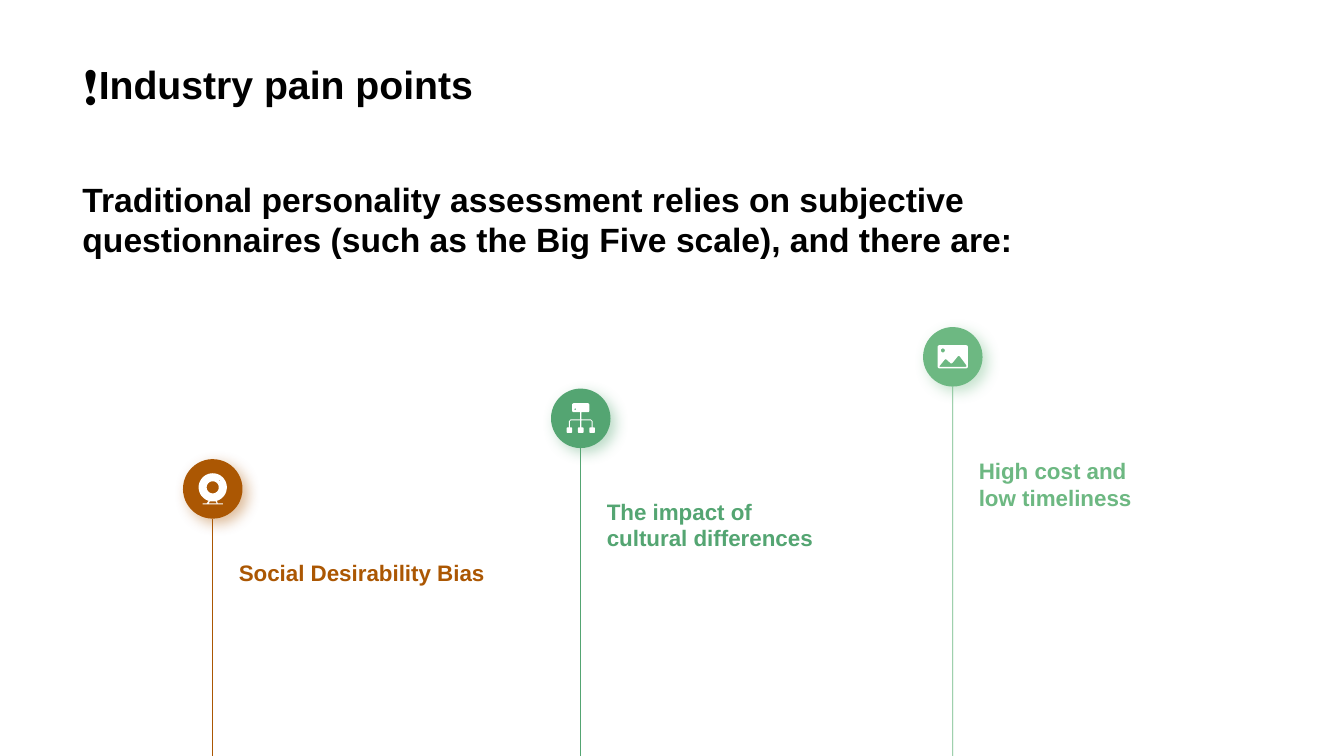
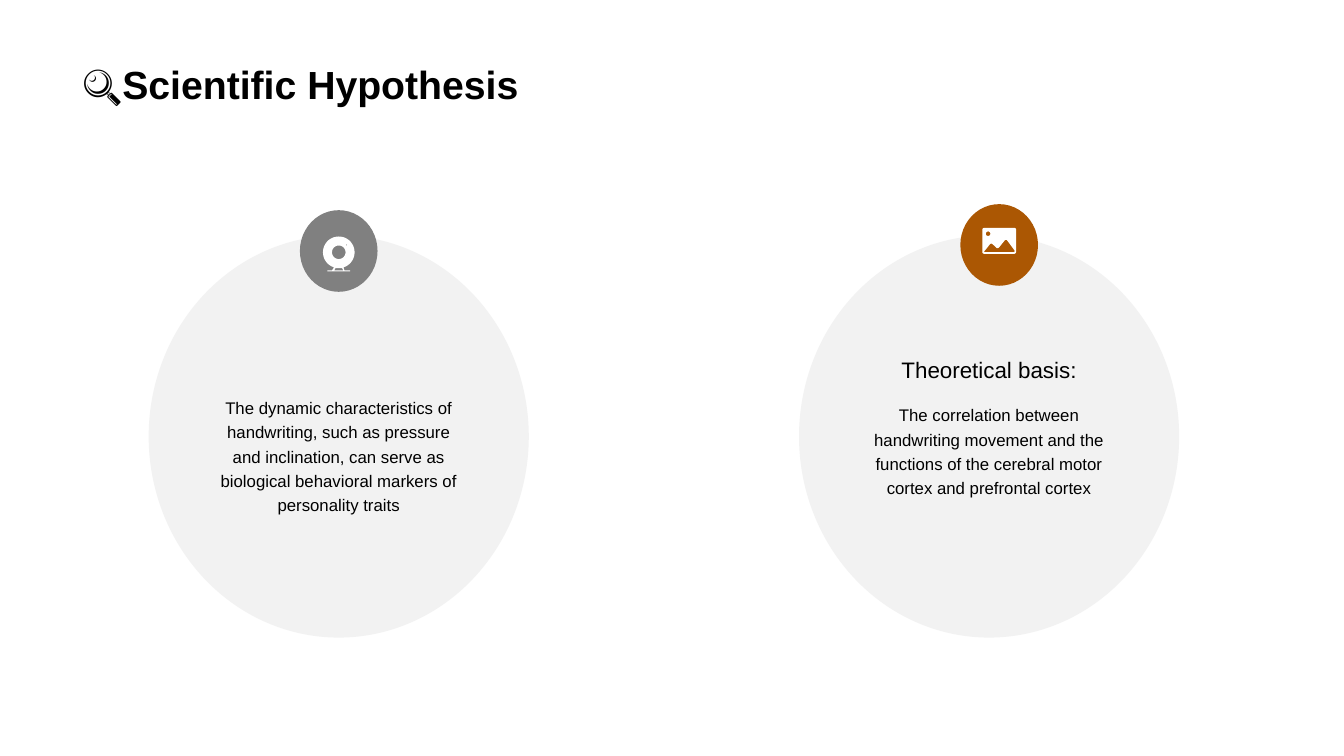
from dataclasses import dataclass
from math import cos, radians, sin

from lxml import etree
from pptx import Presentation
from pptx.dml.color import RGBColor
from pptx.enum.shapes import MSO_CONNECTOR, MSO_SHAPE
from pptx.enum.text import MSO_ANCHOR, MSO_AUTO_SIZE, PP_ALIGN
from pptx.oxml.ns import qn
from pptx.util import Inches, Pt

OVAL, ROUNDED = MSO_SHAPE.OVAL, MSO_SHAPE.ROUNDED_RECTANGLE
STRAIGHT = MSO_CONNECTOR.STRAIGHT
TOP, BOTTOM = MSO_ANCHOR.TOP, MSO_ANCHOR.BOTTOM
LEFT, CENTER = PP_ALIGN.LEFT, PP_ALIGN.CENTER
NO_FIT = MSO_AUTO_SIZE.NONE
SITE_BOTTOM = 2
TITLE_ONLY = 5


@dataclass(frozen=True)
class Theme:
    font: str = "Arial"
    text: str = "000000"
    icon: str = "FFFFFF"
    orange: str = "AB5703"
    green: str = "54A572"
    light_green: str = "6DB882"
    gray: str = "808080"
    disc: str = "BFBFBF"
    title_size: int = 28
    lead_size: int = 24
    label_size: int = 16
    body_size: int = 12
    line_width: float = 0.5


THEME = Theme()
SLIDE_W, SLIDE_H = 13.33, 7.5


def arc(cx, cy, r, start=0, end=360, steps=40):
    """Points on an arc; angles run clockwise from the right, in degrees."""
    angles = [radians(start + (end - start) * i / steps) for i in range(steps + 1)]
    return [(cx + r * cos(a), cy + r * sin(a)) for a in angles]


def rounded_box(x, y, w, h, r):
    corners = [(x + w - r, y + h - r), (x + r, y + h - r),
               (x + r, y + r), (x + w - r, y + r)]
    return [pt for i, (cx, cy) in enumerate(corners)
            for pt in arc(cx, cy, r, 90 * i, 90 * i + 90, 6)]


# Each icon: width, height and contours in hundredths of an inch;
# a contour inside another one is a hole.
CAMERA = (28, 31, [
    arc(14, 14, 14, 107, 433) + [(19, 30), (24, 30), (24, 31), (4, 31), (4, 30), (8, 30)],
    [(11, 28), (10, 30), (18, 30), (17, 28)],
    arc(14, 14, 6),
    arc(21, 7.5, 0.5),
])
ORG_CHART = (28, 30, [
    rounded_box(5.5, 0, 17, 9, 1.5),
    arc(8.5, 6, 0.8),
    [(13.5, 9), (14.5, 9), (14.5, 16), (13.5, 16)],
    [(2.2, 24), (2.2, 18), (4, 16), (24, 16), (25.8, 18), (25.8, 24), (24.8, 24),
     (24.8, 18), (24, 17), (14.5, 17), (14.5, 24), (13.5, 24), (13.5, 17),
     (4, 17), (3.2, 18), (3.2, 24)],
    *[rounded_box(x, 24, 5.5, 5.5, 1) for x in (0, 11.25, 22.5)],
])
PHOTO = (30, 23, [
    rounded_box(0, 0, 30, 23, 1.8),
    [(1.6, 21), (7, 14.3), (8, 13.8), (9, 14.3), (13, 18), (14, 18), (15, 17.2),
     (20, 11), (21, 10.5), (22, 11), (28.6, 20), (28.6, 21), (28, 21.5), (2, 21.5)],
    arc(5.2, 5.2, 2),
])


class Deck:
    def __init__(self, theme):
        self.theme = theme
        self.prs = Presentation()
        self.prs.slide_width = Inches(SLIDE_W)
        self.prs.slide_height = Inches(SLIDE_H)
        self.s = None

    def new_slide(self, title):
        self.s = self.prs.slides.add_slide(self.prs.slide_layouts[TITLE_ONLY])
        sp = self.s.shapes.title
        box = {"left": 0.72, "top": 0, "width": 11.88, "height": 1.12}
        for name, value in box.items():
            setattr(sp, name, Inches(value))
        self.fill_text(sp.text_frame, title, self.theme.title_size, bold=True,
                       anchor=BOTTOM)

    def fill_text(self, tf, text, size, color=None, bold=False, align=LEFT,
                  anchor=TOP, spacing=1.0):
        """Fill a text frame, one paragraph per line of text."""
        frame = {"word_wrap": True, "auto_size": NO_FIT, "vertical_anchor": anchor}
        for name, value in frame.items():
            setattr(tf, name, value)
        font = {"name": self.theme.font, "size": Pt(size), "bold": bold}
        for i, line in enumerate(text.split("\n")):
            p = tf.add_paragraph() if i else tf.paragraphs[0]
            p.alignment, p.line_spacing = align, spacing
            r = p.add_run()
            r.text = line
            for name, value in font.items():
                setattr(r.font, name, value)
            r.font.color.rgb = RGBColor.from_string(color or self.theme.text)

    def text(self, x, y, w, h, text, size, **style):
        sp = self.s.shapes.add_textbox(Inches(x), Inches(y), Inches(w), Inches(h))
        self.fill_text(sp.text_frame, text, size, **style)

    def paint(self, sp, color, alpha=None):
        sp.shadow.inherit = False
        sp.fill.solid()
        sp.fill.fore_color.rgb = RGBColor.from_string(color)
        sp.line.fill.background()
        if alpha is not None:
            clr = next(sp._element.spPr.iter(qn("a:srgbClr")))
            etree.SubElement(clr, qn("a:alpha"), val=str(alpha * 1000))

    def shape(self, kind, cx, cy, w, h, color, alpha=None):
        """Add a filled preset shape centred on (cx, cy)."""
        sp = self.s.shapes.add_shape(kind, Inches(cx - w / 2), Inches(cy - h / 2),
                                     Inches(w), Inches(h))
        self.paint(sp, color, alpha)
        return sp

    def glow(self, sp, color):
        """Give a shape a soft shadow in its own colour."""
        effects = sp._element.spPr.find(qn("a:effectLst"))
        shadow = etree.SubElement(effects, qn("a:outerShdw"), blurRad=str(Pt(10)),
                                  dist=str(Pt(5)), dir="2700000", algn="tl",
                                  rotWithShape="0")
        clr = etree.SubElement(shadow, qn("a:srgbClr"), val=color)
        etree.SubElement(clr, qn("a:alpha"), val="40000")

    def icon(self, icon, cx, cy, scale=1.0):
        """Draw an icon centred on (cx, cy)."""
        w, h, contours = icon

        def place(pt):
            return (Inches(cx + (pt[0] - w / 2) * scale / 100),
                    Inches(cy + (pt[1] - h / 2) * scale / 100))

        builder = None
        for contour in contours:
            first, *rest = [place(pt) for pt in contour]
            if builder is None:
                builder = self.s.shapes.build_freeform(*first)
            else:
                builder.move_to(*first)
            builder.add_line_segments(rest, close=True)
        self.paint(builder.convert_to_shape(), self.theme.icon)

    def stem(self, sp, cx, color):
        """Run a line from the bottom of a shape to the slide's lower edge."""
        line = self.s.shapes.add_connector(STRAIGHT, Inches(cx), Inches(0),
                                           Inches(cx), Inches(SLIDE_H))
        line.begin_connect(sp, SITE_BOTTOM)
        line.line.color.rgb = RGBColor.from_string(color)
        line.line.width = Pt(self.theme.line_width)
        etree.SubElement(line._element.spPr, qn("a:effectLst"))

    def pin(self, cx, cy, icon, color, label, label_top):
        sp = self.shape(ROUNDED, cx, cy, 0.59, 0.59, color)
        sp.adjustments[0] = 0.5
        self.glow(sp, color)
        self.stem(sp, cx, color)
        self.icon(icon, cx, cy)
        self.text(cx + 0.16, label_top, 2.8, 0.64, label, self.theme.label_size,
                  color=color, bold=True, anchor=BOTTOM)

    def bubble(self, cx, badge, icon, icon_dy, color, body, body_top, heading=None):
        """Add a large disc with a badge (x, y), a text and perhaps a heading."""
        text_w = 2.56
        x = cx - text_w / 2
        self.shape(OVAL, cx, 4.33, 3.77, 3.99, self.theme.disc, alpha=20)
        if heading:
            self.text(x, 3.34, text_w, 0.51, heading, self.theme.label_size,
                      align=CENTER, anchor=BOTTOM)
        self.text(x, body_top, text_w, 1.3, body, self.theme.body_size,
                  align=CENTER, spacing=1.2)
        badge_x, badge_y = badge
        self.shape(OVAL, badge_x, badge_y, 0.77, 0.81, color)
        self.icon(icon, badge_x, badge_y + icon_dy, 1.12)


def pain_points(deck):
    t = deck.theme
    deck.new_slide("❗Industry pain points")
    deck.text(0.72, 1.71, 10.93, 0.91,
              "Traditional personality assessment relies on subjective "
              "questionnaires (such as the Big Five scale), and there are:",
              t.lead_size, bold=True, anchor=BOTTOM)
    for pin in [
        (2.11, 4.85, CAMERA, t.orange, "Social Desirability Bias", 5.22),
        (5.76, 4.15, ORG_CHART, t.green, "The impact of\ncultural differences", 4.88),
        (9.45, 3.54, PHOTO, t.light_green, "High cost and\nlow timeliness", 4.48),
    ]:
        deck.pin(*pin)


def hypothesis(deck):
    t = deck.theme
    deck.new_slide("🔍Scientific Hypothesis")
    deck.bubble(9.81, (9.91, 2.43), PHOTO, -0.04, t.orange,
                "The correlation between handwriting movement and the functions "
                "of the cerebral motor cortex and prefrontal cortex",
                3.93, "Theoretical basis:")
    deck.bubble(3.36, (3.36, 2.49), CAMERA, 0.03, t.gray,
                "The dynamic characteristics of handwriting, such as pressure and "
                "inclination, can serve as biological behavioral markers of "
                "personality traits", 3.86)


def main():
    deck = Deck(THEME)
    pain_points(deck)
    hypothesis(deck)
    deck.prs.save("out.pptx")


if __name__ == "__main__":
    main()
